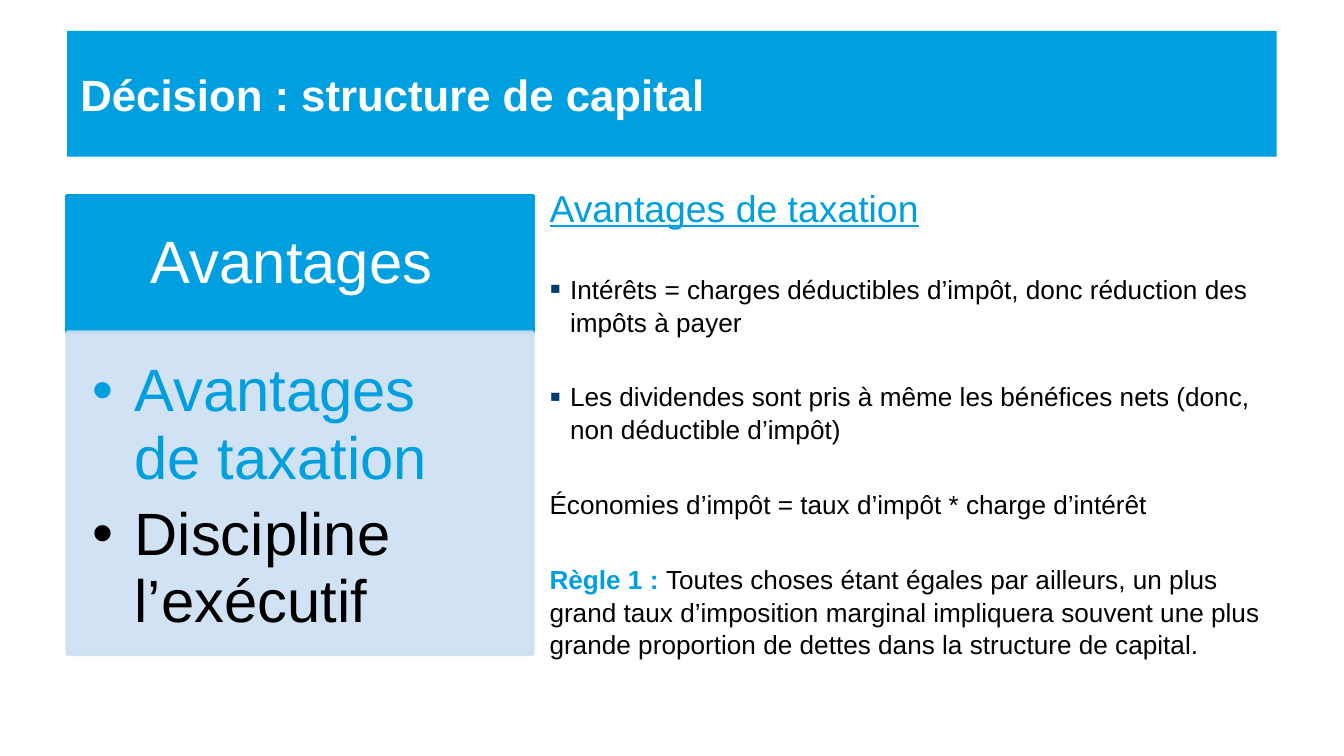
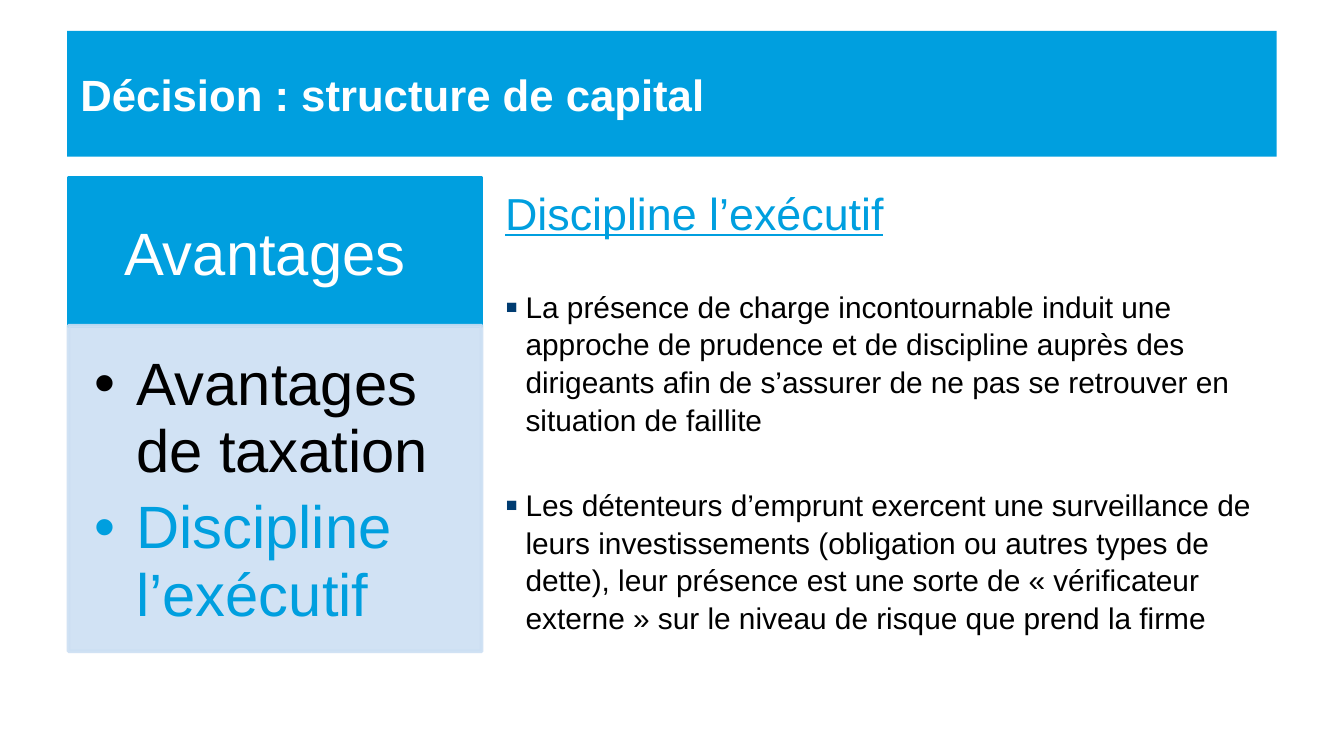
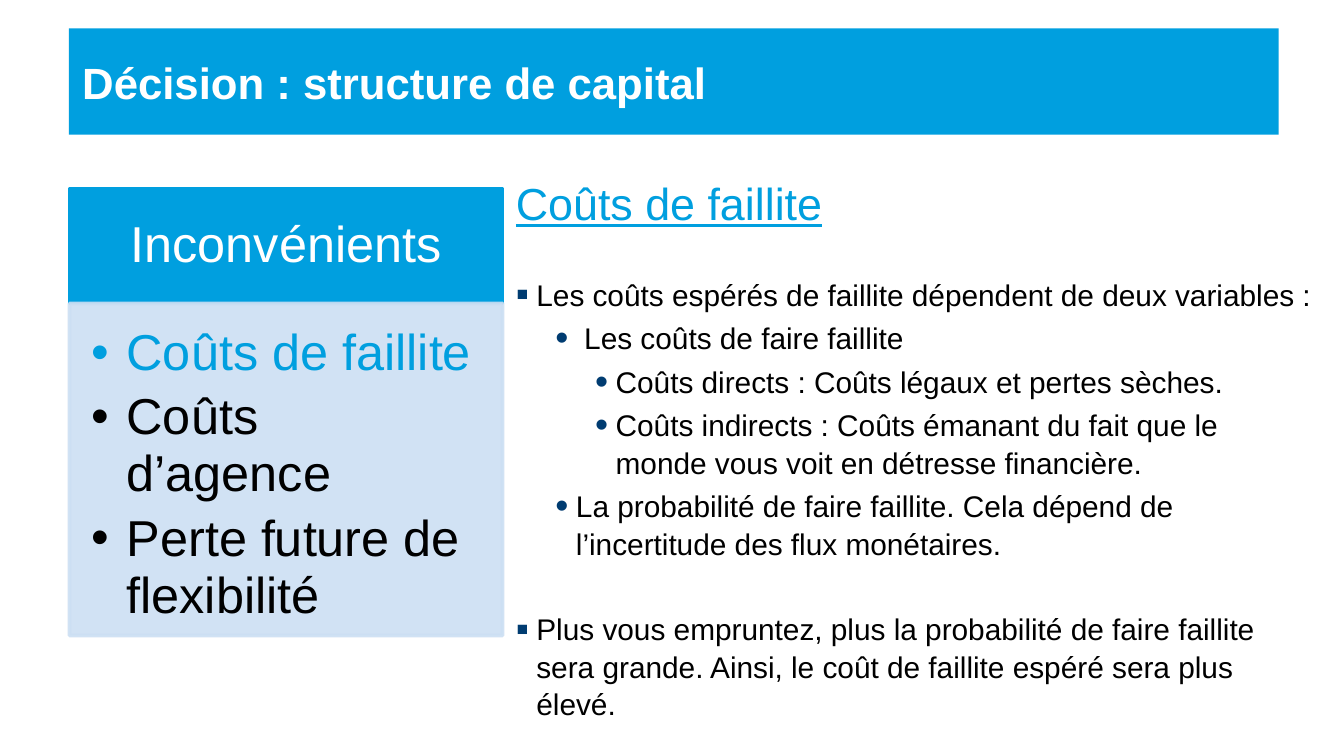
from lxml import etree
from pptx import Presentation
from pptx import util as u
from pptx.dml import color as dml
from pptx.enum import shapes, text
from pptx.oxml import ns

Pt = u.Pt
FONT = "Arial"
BLUE, NAVY, PALE, BLACK, WHITE = "009FDF", "003C71", "CCDFF3", "000000", "FFFFFF"
TITLE = "Décision : structure de capital"
BODY_SPACING, CARD_SPACING = 1.05, 0.94
SECTION_GAP, LINE_GAP = 1.6, 0.2
BODY_INDENTS = (11, 32.2, 53.5)


def rgb(value):
    """Turn a hex string into a colour."""
    return dml.RGBColor.from_string(value)


def style(run, size, color, bold=False, underline=False):
    """Format one run."""
    font = run.font
    font.name, font.size = FONT, Pt(size)
    font.bold, font.underline = bold, underline
    font.color.rgb = rgb(color)


def add_bullet(paragraph, character, left, hanging, color=None, percent=100):
    """Give a paragraph a bullet with a hanging indent."""
    properties = paragraph._p.get_or_add_pPr()
    properties.set("marL", str(Pt(left)))
    properties.set("indent", str(-Pt(hanging)))
    if color:
        holder = etree.SubElement(properties, ns.qn("a:buClr"))
        etree.SubElement(holder, ns.qn("a:srgbClr"), val=color)
    etree.SubElement(properties, ns.qn("a:buSzPct"), val=str(percent * 1000))
    etree.SubElement(properties, ns.qn("a:buFont"), typeface=FONT)
    etree.SubElement(properties, ns.qn("a:buChar"), char=character)


def add_paragraphs(frame, lines):
    """Fill a text frame and return its paragraphs."""
    frame.text = "\n".join(lines)
    return frame.paragraphs


def add_box(slide, box, fill, anchor, insets=(7.2, 3.6, 7.2, 3.6), alpha=None, border=True):
    """Draw a filled rectangle that holds left-aligned text."""
    shape = slide.shapes.add_shape(shapes.MSO_SHAPE.RECTANGLE, *map(Pt, box))
    shape.shadow.inherit = False
    shape.fill.solid()
    shape.fill.fore_color.rgb = rgb(fill)
    if border:
        shape.line.color.rgb = rgb(fill)
        shape.line.width = Pt(2)
    else:
        shape.line.fill.background()
    if alpha:
        for color in shape._element.spPr.iter(ns.qn("a:srgbClr")):
            etree.SubElement(color, ns.qn("a:alpha"), val=str(alpha * 1000))
    frame = shape.text_frame
    frame.word_wrap, frame.vertical_anchor = True, anchor
    (frame.margin_left, frame.margin_top,
     frame.margin_right, frame.margin_bottom) = map(Pt, insets)
    return frame


def add_title(slide, box):
    """Draw the title band."""
    frame = add_box(slide, box, BLUE, text.MSO_ANCHOR.MIDDLE, border=False)
    paragraph = add_paragraphs(frame, [TITLE])[0]
    paragraph.alignment = text.PP_ALIGN.LEFT
    style(paragraph.runs[0], 23.4, WHITE, bold=True)


def add_card(slide, box, header_height, heading, points, current, size, space_size=None):
    """Draw the summary card, with the current point in blue."""
    left, top, width, height = box
    unit = size / 32
    frame = add_box(slide, (left, top, width, header_height), BLUE,
                    text.MSO_ANCHOR.MIDDLE, [unit * inset for inset in (18, 10, 18, 10)])
    paragraph = add_paragraphs(frame, [heading])[0]
    paragraph.alignment = text.PP_ALIGN.CENTER
    paragraph.line_spacing = 0.9
    style(paragraph.runs[0], size, WHITE)
    if space_size:
        run = paragraph.add_run()
        run.text = " "
        style(run, space_size, WHITE)

    frame = add_box(slide, (left, top + header_height, width, height - header_height), PALE,
                    text.MSO_ANCHOR.TOP, [unit * inset for inset in (13.7, 13.7, 18, 20)], alpha=90)
    for index, paragraph in enumerate(add_paragraphs(frame, points)):
        color = BLUE if index == current else BLACK
        add_bullet(paragraph, "•", 22.5 * unit, 22.5 * unit)
        paragraph.alignment = text.PP_ALIGN.LEFT
        paragraph.line_spacing = CARD_SPACING
        paragraph.space_after = Pt(round(0.15 * size, 2))
        style(paragraph.runs[0], size, color)


def add_body(slide, box, heading, heading_size, size, lines):
    """Write the underlined heading and its (level, gap, lead, text) lines."""
    frame = slide.shapes.add_textbox(*map(Pt, box)).text_frame
    frame.word_wrap = True
    paragraphs = add_paragraphs(frame, [heading] + [lead or words for _, _, lead, words in lines])
    style(paragraphs[0].runs[0], heading_size, BLUE, underline=True)
    paragraphs[0].line_spacing = BODY_SPACING
    for paragraph, (level, gap, lead, words) in zip(paragraphs[1:], lines):
        if level is not None:
            add_bullet(paragraph, "•" if level else "▪", BODY_INDENTS[level], 11, NAVY, 125)
        paragraph.line_spacing = BODY_SPACING
        paragraph.space_before = Pt(round(gap * size, 2))
        if lead:
            style(paragraph.runs[0], size, BLUE, bold=True)
            paragraph.add_run().text = words
        style(paragraph.runs[-1], size, BLACK)


def add_tax_slide(slide):
    """Build the slide on tax advantages."""
    add_title(slide, (36, 16.5, 648, 67.5))
    add_body(slide, (287.3, 94.3, 396.7, 267), "Avantages de taxation", 20, 14, [
        (0, SECTION_GAP, "", "Intérêts = charges déductibles d’impôt, donc réduction des impôts à payer"),
        (0, SECTION_GAP, "", "Les dividendes sont pris à même les bénéfices nets (donc, non déductible d’impôt)"),
        (None, SECTION_GAP, "", "Économies d’impôt = taux d’impôt * charge d’intérêt"),
        (None, SECTION_GAP, "Règle 1 : ",
         "Toutes choses étant égales par ailleurs, un plus grand taux d’imposition marginal "
         "impliquera souvent une plus grande proportion de dettes dans la structure de capital."),
    ])
    add_card(slide, (36, 105, 249.5, 245.5), 73, "Avantages ",
             ["Avantages de taxation", "Discipline l’exécutif"], 0, 32)


def add_discipline_slide(slide):
    """Build the slide on executive discipline."""
    add_title(slide, (36, 16.5, 648, 67.5))
    add_body(slide, (263.5, 94.3, 420.5, 267), "Discipline l’exécutif", 24, 16, [
        (0, SECTION_GAP, "",
         "La présence de charge incontournable induit une approche de prudence et de discipline "
         "auprès des dirigeants afin de s’assurer de ne pas se retrouver en situation de faillite"),
        (0, SECTION_GAP, "",
         "Les détenteurs d’emprunt exercent une surveillance de leurs investissements (obligation "
         "ou autres types de dette), leur présence est une sorte de « vérificateur externe » "
         "sur le niveau de risque que prend la firme"),
    ])
    add_card(slide, (36.7, 95.5, 221.3, 253.5), 79, "Avantages",
             ["Avantages de taxation", "Discipline l’exécutif"], 1, 32, space_size=39)


def add_bankruptcy_slide(slide):
    """Build the slide on bankruptcy costs."""
    add_title(slide, (37, 15.2, 648, 57))
    add_body(slide, (269.3, 89.3, 442.1, 272), "Coûts de faillite", 24, 16, [
        (0, 1.5, "", "Les coûts espérés de faillite dépendent de deux variables :"),
        (1, LINE_GAP, "", " Les coûts de faire faillite"),
        (2, LINE_GAP, "", "Coûts directs : Coûts légaux et pertes sèches."),
        (2, LINE_GAP, "",
         "Coûts indirects : Coûts émanant du fait que le monde vous voit en détresse financière."),
        (1, LINE_GAP, "",
         "La probabilité de faire faillite. Cela dépend de l’incertitude des flux monétaires."),
        (0, SECTION_GAP, "",
         "Plus vous empruntez, plus la probabilité de faire faillite sera grande. Ainsi, le coût "
         "de faillite espéré sera plus élevé."),
    ])
    add_card(slide, (37.3, 101.3, 232, 239.2), 61.3, "Inconvénients",
             ["Coûts de faillite", "Coûts d’agence", "Perte future de flexibilité"], 0, 27)


def main():
    """Build and save the presentation."""
    presentation = Presentation()
    presentation.slide_width, presentation.slide_height = Pt(720), Pt(405)
    for build in (add_tax_slide, add_discipline_slide, add_bankruptcy_slide):
        build(presentation.slides.add_slide(presentation.slide_layouts[6]))
    presentation.save("out.pptx")


if __name__ == "__main__":
    main()
